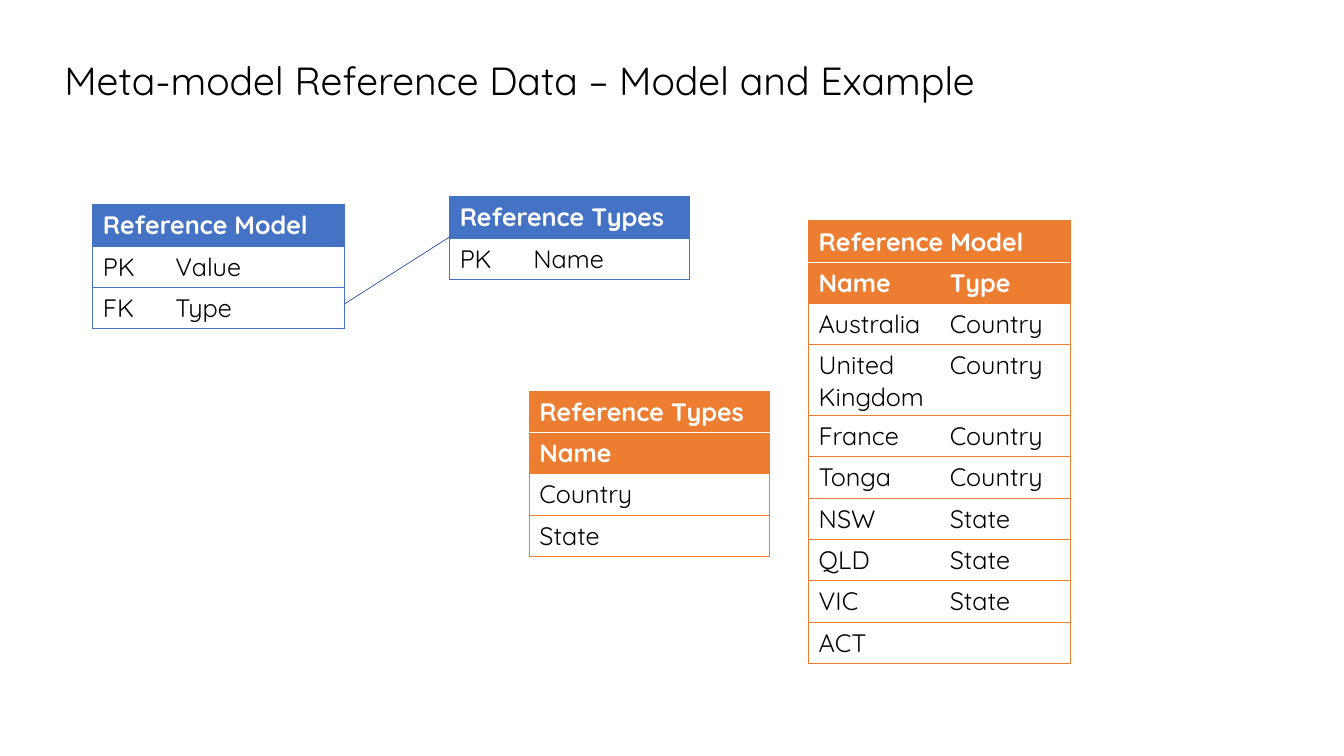
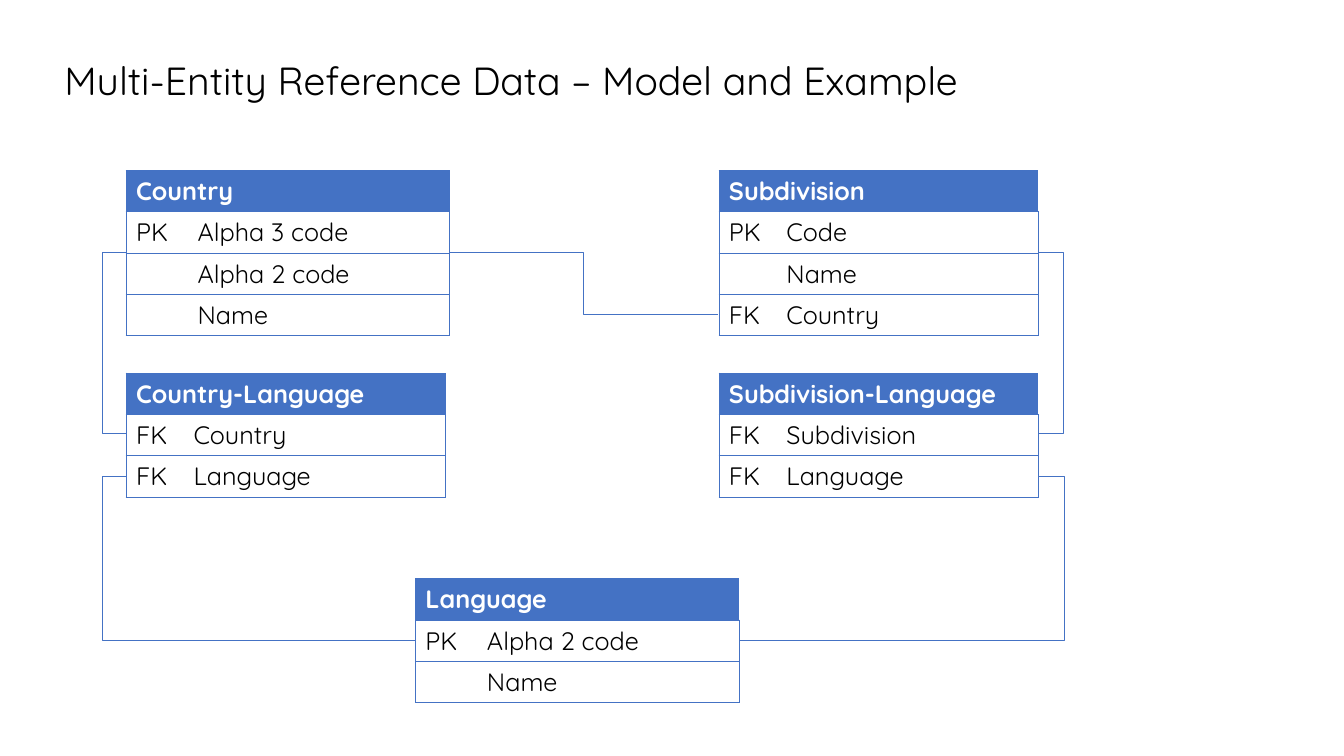
import dataclasses

import pptx
import pptx.dml.color
import pptx.enum.shapes
import pptx.enum.text
import pptx.oxml
import pptx.oxml.ns
import pptx.util
from pptx.util import Inches


@dataclasses.dataclass(frozen=True)
class Theme:
    """Colours, font and sizes shared by the slides."""
    font: str = "Quicksand"
    title_size: int = 28
    table_size: int = 18
    line_width: float = 0.5
    row_height: float = 0.41
    black: str = "000000"
    white: str = "FFFFFF"
    model: str = "4472C4"
    example: str = "ED7D31"
    link: str = "2654AC"


class SlideWriter:
    """Holds the theme and the current slide and draws elements on it."""

    def __init__(self, theme):
        self.theme = theme
        self.deck = pptx.Presentation()
        self.deck.slide_width = Inches(13.33)
        self.deck.slide_height = Inches(7.5)
        self.page = None

    def start(self, title):
        """Adds a blank slide with its title."""
        self.page = self.deck.slides.add_slide(self.deck.slide_layouts[6])
        box = self.page.shapes.add_textbox(
            Inches(0.54), Inches(0.54), Inches(10.59), Inches(0.56))
        frame = box.text_frame
        frame.word_wrap = True
        frame.vertical_anchor = pptx.enum.text.MSO_ANCHOR.MIDDLE
        para = frame.paragraphs[0]
        para.line_spacing = 0.9
        self.span(para, title, self.theme.title_size, self.theme.black)

    def span(self, para, text, size, colour, bold=False):
        """Adds one styled run."""
        span = para.add_run()
        span.text = text
        span.font.name = self.theme.font
        span.font.size = pptx.util.Pt(size)
        span.font.bold = bold
        span.font.color.rgb = pptx.dml.color.RGBColor.from_string(colour)

    def border(self, cell, side, colour):
        """Adds one cell border, invisible without a colour."""
        width = pptx.util.Pt(self.theme.line_width)
        paint = "<a:noFill/>"
        if colour:
            paint = f'<a:solidFill><a:srgbClr val="{colour}"/></a:solidFill>'
        cell._tc.get_or_add_tcPr().append(pptx.oxml.parse_xml(
            f'<a:ln{side} {pptx.oxml.ns.nsdecls("a")} w="{width}">{paint}</a:ln{side}>'))

    def table(self, left, top, widths, rows, colour, headers=1):
        """Adds a table whose first row is a heading across all columns."""
        theme = self.theme
        table = self.page.shapes.add_table(
            len(rows), len(widths), Inches(left), Inches(top),
            Inches(sum(widths)), Inches(theme.row_height * len(rows))).table
        table.first_row = table.horz_banding = False
        for column, width in zip(table.columns, widths):
            column.width = Inches(width)
        last = len(widths) - 1
        if last:
            table.cell(0, 0).merge(table.cell(0, last))
        for r, row in enumerate(rows):
            table.rows[r].height = Inches(theme.row_height)
            heading = r < headers
            for c in range(len(widths)):
                cell = table.cell(r, c)
                self.border(cell, "L", colour if c == 0 else None)
                self.border(cell, "R", colour if c == last else None)
                self.border(cell, "T", theme.white if 0 < r < headers else colour)
                self.border(cell, "B", theme.white if r < headers - 1 else colour)
                if heading:
                    cell.fill.solid()
                    cell.fill.fore_color.rgb = pptx.dml.color.RGBColor.from_string(colour)
                else:
                    cell.fill.background()
                if c < len(row) and row[c]:
                    self.span(cell.text_frame.paragraphs[0], row[c], theme.table_size,
                              theme.white if heading else theme.black, heading)

    def connector(self, start, end, colour, bend=None):
        """Adds a straight line, or an elbow whose upright stands at bend."""
        kinds = pptx.enum.shapes.MSO_CONNECTOR
        kind = kinds.STRAIGHT if bend is None else kinds.ELBOW
        line = self.page.shapes.add_connector(kind, *map(Inches, start + end))
        line.line.color.rgb = pptx.dml.color.RGBColor.from_string(colour)
        line.line.width = pptx.util.Pt(self.theme.line_width)
        properties = line._element.spPr
        properties.append(properties.makeelement(pptx.oxml.ns.qn("a:effectLst"), {}))
        if bend is not None:
            share = round((bend - start[0]) / (end[0] - start[0]) * 100000)
            guides = properties.find(".//" + pptx.oxml.ns.qn("a:avLst"))
            guides.append(guides.makeelement(
                pptx.oxml.ns.qn("a:gd"), {"name": "adj1", "fmla": f"val {share}"}))


def meta_model(writer):
    """Draws the meta-model slide."""
    theme = writer.theme
    writer.start("Meta-model Reference Data – Model and Example")
    writer.table(0.92, 2.03, (0.72, 1.78),
                 [("Reference Model",), ("PK", "Value"), ("FK", "Type")], theme.model)
    writer.table(4.46, 1.95, (0.73, 1.65),
                 [("Reference Types",), ("PK", "Name")], theme.model)
    writer.connector((3.41, 3.02), (4.46, 2.35), theme.link)
    countries = [(name, "Country")
                 for name in ("Australia", "United Kingdom", "France", "Tonga")]
    states = [(name, "State") for name in ("NSW", "QLD", "VIC")]
    writer.table(8.02, 2.19, (1.3, 1.3),
                 [("Reference Model",), ("Name", "Type"), *countries, *states, ("ACT",)],
                 theme.example, headers=2)
    writer.table(5.25, 3.88, (2.38,),
                 [("Reference Types",), ("Name",), ("Country",), ("State",)],
                 theme.example, headers=2)


def multi_entity(writer):
    """Draws the multi-entity slide."""
    colour = writer.theme.model
    wide, narrow = (0.61, 2.6), (0.57, 2.6)
    left, right, upper, lower = 1.25, 7.13, 1.69, 3.7
    writer.start("Multi-Entity Reference Data – Model and Example")
    for x, y, widths, rows in (
        (left, upper, wide, [("Country",), ("PK", "Alpha 3 code"),
                             ("", "Alpha 2 code"), ("", "Name")]),
        (4.12, 5.74, wide, [("Language",), ("PK", "Alpha 2 code"), ("", "Name")]),
        (left, lower, narrow, [("Country-Language",), ("FK", "Country"),
                               ("FK", "Language")]),
        (right, upper, narrow, [("Subdivision",), ("PK", "Code"),
                                ("", "Name"), ("FK", "Country")]),
        (right, lower, narrow, [("Subdivision-Language",), ("FK", "Subdivision"),
                                ("FK", "Language")]),
    ):
        writer.table(x, y, widths, rows, colour)
    for start, end, bend in (
        ((1.26, 4.3), (1.25, 2.5), 1.01),
        ((4.12, 6.35), (1.25, 4.73), 1.02),
        ((10.3, 2.5), (10.31, 4.3), 10.55),
        ((7.33, 6.35), (10.3, 4.73), 10.56),
        ((7.12, 3.12), (4.46, 2.5), 5.79),
    ):
        writer.connector(start, end, colour, bend)


def main():
    """Builds and saves the deck."""
    writer = SlideWriter(Theme())
    meta_model(writer)
    multi_entity(writer)
    writer.deck.save("out.pptx")


if __name__ == "__main__":
    main()
